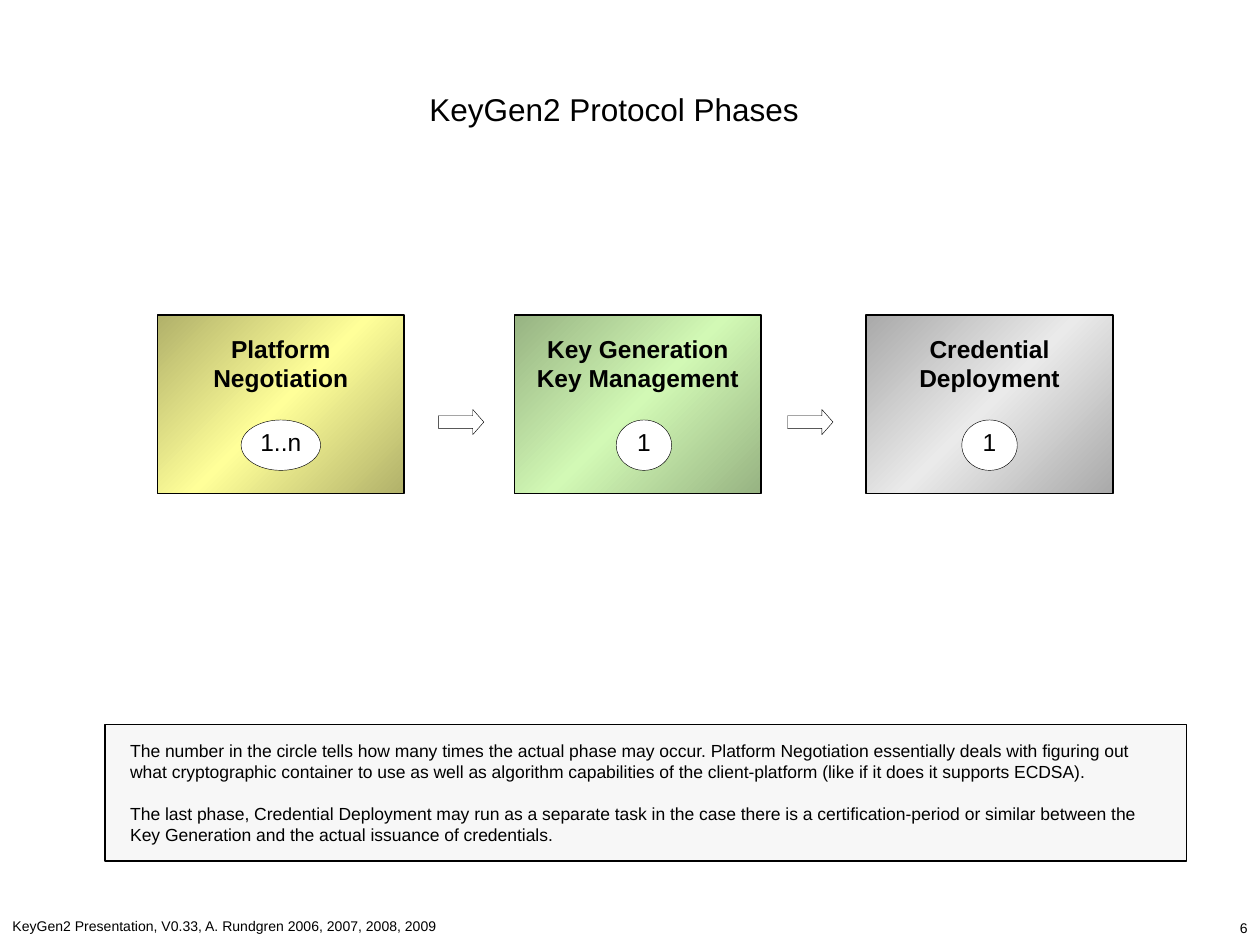
from copy import deepcopy

from pptx import Presentation
from pptx.dml.color import RGBColor
from pptx.enum import shapes, text
from pptx.util import Pt

BLACK = RGBColor(0, 0, 0)
WHITE = RGBColor(255, 255, 255)
PALE = RGBColor(0xF7, 0xF7, 0xF7)
OLIVE, YELLOW = RGBColor(0xB1, 0xB1, 0x6A), RGBColor(0xFF, 0xFF, 0x99)
MOSS, GREEN = RGBColor(0x97, 0xB3, 0x82), RGBColor(0xD2, 0xF9, 0xB5)
GRAY, SILVER = RGBColor(0xA9, 0xA9, 0xA9), RGBColor(0xEA, 0xEA, 0xEA)

KIND = shapes.MSO_SHAPE
LEFT, MID, RIGHT = text.PP_ALIGN.LEFT, text.PP_ALIGN.CENTER, text.PP_ALIGN.RIGHT
TOP, MIDDLE = text.MSO_ANCHOR.TOP, text.MSO_ANCHOR.MIDDLE


def write(shape, words, size, align=LEFT, bold=False, pad=(7.2, 3.6), anchor=TOP):
    """Fill a shape with black Arial text, padded by side and top."""
    frame = shape.text_frame
    frame.word_wrap = True
    frame.vertical_anchor = anchor
    frame.margin_left = frame.margin_right = Pt(pad[0])
    frame.margin_top, frame.margin_bottom = Pt(pad[1]), Pt(min(pad[1], 3.6))
    frame.text = words
    for para in frame.paragraphs:
        para.alignment = align
        for run in para.runs:
            font = run.font
            font.name, font.size, font.bold = "Arial", Pt(size), bold
            font.color.rgb = BLACK


def label(slide, box, words, size, align=LEFT):
    """Add a plain line of text."""
    write(slide.shapes.add_textbox(*map(Pt, box)), words, size, align)


def draw(slide, kind, box, line, fill=None):
    """Add a flat preset shape with a black outline."""
    shape = slide.shapes.add_shape(kind, *map(Pt, box))
    shape.shadow.inherit = False
    shape.line.color.rgb = BLACK
    shape.line.width = Pt(line)
    if fill is None:
        shape.fill.background()
    else:
        shape.fill.solid()
        shape.fill.fore_color.rgb = fill
    return shape


def shade(shape, edge, core):
    """Fill a shape with a diagonal gradient that is brightest in the middle."""
    fill = shape.fill
    fill.gradient()
    fill.gradient_angle = 135
    stops = fill.gradient_stops
    node = stops[0]._gs
    node.addnext(deepcopy(node))
    for stop, tone, place in zip(fill.gradient_stops, (edge, core, edge), (0, 0.5, 1)):
        stop.color.rgb = tone
        stop.position = place


def phase(slide, box, name, count, wide, shift, edge, core):
    """Add a phase card with a count in an oval."""
    left, top, width, height = box
    card = draw(slide, KIND.RECTANGLE, box, 1)
    shade(card, edge, core)
    write(card, name, 14, MID, True, (7.2, 10.8))
    spot = (left + (width - wide) / 2 + shift, top + 60, wide, 28.8)
    oval = draw(slide, KIND.OVAL, spot, 0.25, WHITE)
    write(oval, count, 14, MID, pad=(0, 0))


def flow(slide, left, top):
    """Add the three phases and the arrows between them."""
    cards = (
        (0, "Platform\vNegotiation", "1..n", 45.4, 0, OLIVE, YELLOW),
        (204, "Key Generation\vKey Management", "1", 31.7, 3.5, MOSS, GREEN),
        (405, "Credential\vDeployment", "1", 31.7, 0, GRAY, SILVER),
    )
    for step, *rest in cards:
        phase(slide, (left + step, top, 141, 102), *rest)
    for step in (160.5, 360):
        arrow = draw(slide, KIND.RIGHT_ARROW, (left + step, top + 54, 26, 14.4), 0.25)
        arrow.adjustments[0] = 0.5
        arrow.adjustments[1] = 0.44


def note(slide, box):
    """Add the framed explanation."""
    words = (
        "The number in the circle tells how many times the actual phase may occur. "
        "Platform Negotiation essentially deals with figuring out what cryptographic "
        "container to use as well as algorithm capabilities of the client-platform "
        "(like if it does it supports ECDSA).\n"
        "The last phase, Credential Deployment may run as a separate task in the case "
        "there is a certification-period or similar between the Key Generation and the "
        "actual issuance of credentials."
    )
    panel = draw(slide, KIND.RECTANGLE, box, 0.75, PALE)
    write(panel, words, 10, pad=(14.4, 3.6), anchor=MIDDLE)
    panel.text_frame.paragraphs[1].space_before = Pt(12)


def main():
    """Build and save the slide."""
    deck = Presentation()
    deck.slide_width, deck.slide_height = Pt(720), Pt(540)
    slide = deck.slides.add_slide(deck.slide_layouts[6])
    label(slide, (0, 520.5, 480, 17), "KeyGen2 Presentation, V0.33, A. Rundgren 2006, 2007, 2008, 2009", 8)
    label(slide, (240, 522, 480, 17), "6", 8, RIGHT)
    label(slide, (120, 48, 462, 29), "KeyGen2 Protocol Phases", 18, MID)
    flow(slide, 90, 180)
    note(slide, (60, 414, 618, 78))
    deck.save("out.pptx")


if __name__ == "__main__":
    main()
